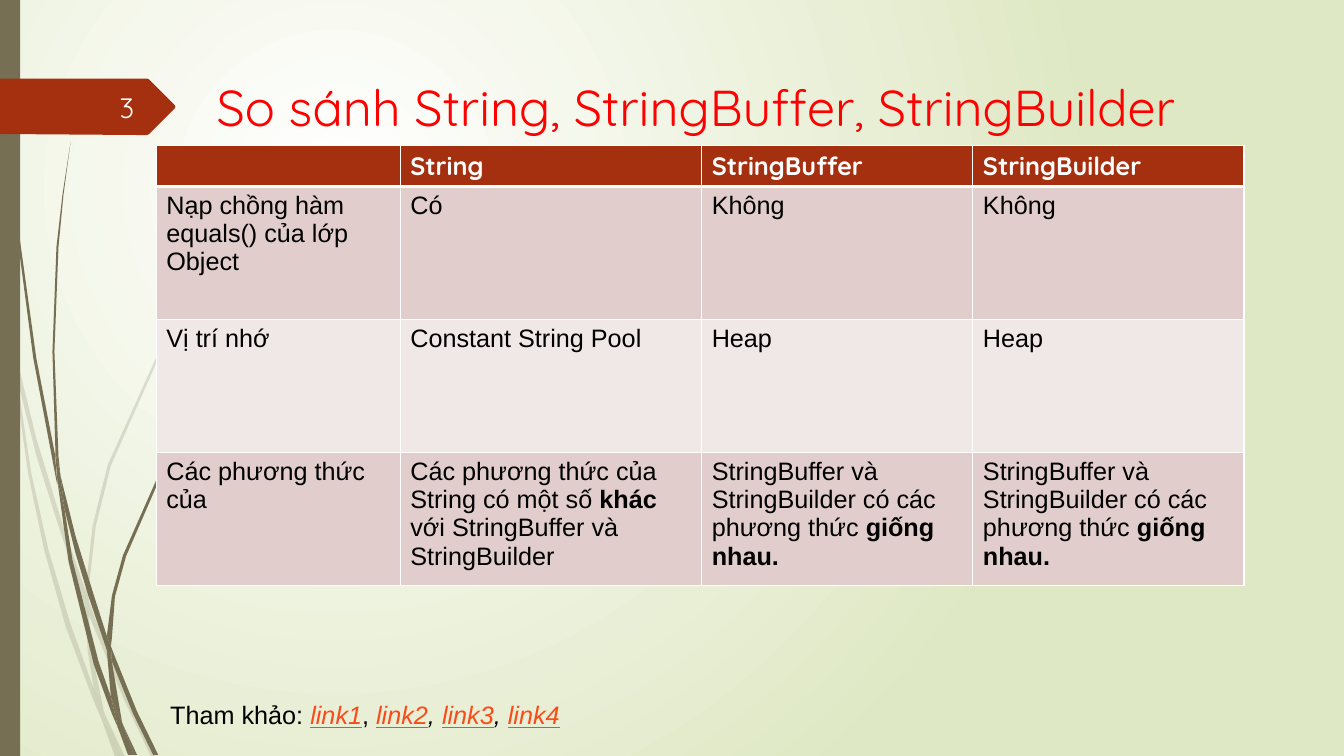
from lxml import etree
from pptx import Presentation
from pptx.dml.color import RGBColor
from pptx.enum.shapes import MSO_SHAPE
from pptx.enum.text import MSO_ANCHOR, PP_ALIGN
from pptx.oxml import parse_xml
from pptx.oxml.ns import nsdecls, qn
from pptx.util import Inches, Pt

RECTANGLE = MSO_SHAPE.RECTANGLE
TOP, MIDDLE = MSO_ANCHOR.TOP, MSO_ANCHOR.MIDDLE
LEFT, RIGHT = PP_ALIGN.LEFT, PP_ALIGN.RIGHT
HEADING, BODY = "Quicksand", "Arial"
COLORS = {
    "white": "FFFFFF", "meadow": "DFE8C4", "grass": "766F54", "rust": "A53010",
    "red": "FF0000", "black": "000000", "number": "FEFFFF", "link": "FB4A18",
    "odd": "E1CDCC", "even": "F0E8E7",
}
FAINT_GRASS = [
    [(.11, 3.5), (.09, 3.22), (0, 2.82), (0, 2.99), (.1, 3.44)],
    [(.58, 5.22), (.84, 5.99), (.85, 5.86), (.62, 5.2), (.36, 4.35), (.14, 3.45),
     (.17, 3.76), (.36, 4.52)],
    [(.92, 6.07), (.88, 5.96), (.88, 6.1), (1.23, 6.94), (1.5, 7.51), (1.55, 7.51), (1.27, 6.92)],
    [(1.19, 7.51), (1.24, 7.51), (1.05, 7.11)],
    [(.93, 6.83), (.7, 6.19), (.48, 5.45), (.31, 4.69), (.17, 3.76), (.11, 3.5), (.28, 4.7),
     (.44, 5.46), (.65, 6.21), (.92, 6.93), (1.01, 7.14), (.99, 7.07)],
    [(.84, 5.99), (.87, 6.46), (.93, 6.83), (.96, 6.92), (1.05, 7.11), (1.03, 7.06),
     (.91, 6.46), (.88, 6.1), (.88, 6.08)],
    [(.88, 5.84), (.95, 5.22), (1.1, 4.62), (1.6, 3.49), (2.29, 2.45), (2.68, 1.98), (2.9, 1.75),
     (3.12, 1.54), (3.12, 1.53), (2.89, 1.75), (2.68, 1.97), (2.28, 2.44), (1.58, 3.48),
     (1.07, 4.61), (.92, 5.21), (.85, 5.84), (.85, 5.86), (.88, 5.96)],
    [(1.01, 7.14), (1.14, 7.51), (1.19, 7.51)],
    [(.88, 6.08), (.88, 6.1), (.88, 5.96), (.85, 5.86), (.84, 5.99)],
    [(.96, 6.92), (.93, 6.83), (.99, 7.07), (1.01, 7.14), (1.19, 7.51), (1.05, 7.11)],
]
SOLID_GRASS = [
    [(.07, 1.1), (.17, 2.33), (.33, 3.55), (.56, 4.77), (.57, 4.81), (.55, 4.57), (.55, 4.53),
     (.36, 3.55), (.19, 2.32), (.08, 1.09), (.05, .48), (.04, 0), (.03, 0), (.04, .48)],
    [(.88, 5.92), (1.06, 6.45), (1.06, 6.33), (1.06, 6.31), (.93, 5.9), (.75, 5.32),
     (.6, 4.72), (.64, 5.05), (.75, 5.49)],
    [(1.13, 6.49), (1.1, 6.41), (1.11, 6.56), (1.32, 7.08), (1.52, 7.49), (1.57, 7.49),
     (1.36, 7.06)],
    [(1.1, 6.91), (.98, 6.57), (.72, 5.56), (.64, 5.05), (.57, 4.77), (.68, 5.57), (.93, 6.59),
     (1.11, 7.08), (1.17, 7.22), (1.16, 7.17)],
    [(.6, 4.72), (.58, 4.53), (.54, 3.49), (.58, 2.45), (.63, 1.93), (.7, 1.41), (.62, 1.93),
     (.56, 2.45), (.52, 3.49), (.55, 4.49)],
    [(1.33, 7.49), (1.36, 7.49), (1.22, 7.19)],
    [(.57, 4.77), (.64, 5.05), (.6, 4.72), (.55, 4.49), (.55, 4.53)],
    [(1.11, 6.33), (1.14, 5.92), (1.25, 5.52), (1.58, 4.76), (2.05, 4.06), (2.31, 3.74),
     (2.45, 3.59), (2.61, 3.44), (2.6, 3.44), (2.45, 3.58), (2.31, 3.73), (2.04, 4.05),
     (1.56, 4.74), (1.22, 5.51), (1.11, 5.91), (1.06, 6.31), (1.1, 6.41)],
    [(1.17, 7.22), (1.27, 7.49), (1.31, 7.49)],
    [(1.06, 6.45), (1.1, 6.91), (1.16, 7.06), (1.22, 7.19), (1.21, 7.16), (1.11, 6.56), (1.09, 6.51)],
    [(1.06, 6.45), (1.09, 6.51), (1.11, 6.56), (1.1, 6.41), (1.06, 6.31), (1.06, 6.33)],
    [(1.16, 7.06), (1.1, 6.91), (1.16, 7.17), (1.17, 7.22), (1.3, 7.49), (1.33, 7.49), (1.22, 7.19)],
]
NUMBER_TAG = [(1.73, 1.08), (1.48, 1.33), (1.46, 1.34), (1.36, 1.34), (0, 1.33), (0, .78),
              (1.36, .78), (1.46, .78), (1.48, .79), (1.73, 1.04), (1.74, 1.06)]
SAME_METHODS = [("StringBuffer và StringBuilder có các phương thức ", False), ("giống nhau.", True)]
ROWS = [
    ["", "String", "StringBuffer", "StringBuilder"],
    ["Nạp chồng hàm equals() của lớp Object", "Có", "Không", "Không"],
    ["Vị trí nhớ", "Constant String Pool", "Heap", "Heap"],
    ["Các phương thức của",
     [("Các phương thức của String có một số ", False), ("khác", True),
      (" với StringBuffer và StringBuilder", False)],
     SAME_METHODS, SAME_METHODS],
]


def rgb(name):
    """Return the named colour."""
    return RGBColor.from_string(COLORS[name])


def paint(shape, color):
    """Give a shape a plain fill without line or shadow."""
    shape.shadow.inherit = False
    shape.fill.solid()
    shape.fill.fore_color.rgb = rgb(color)
    shape.line.fill.background()


def set_font(font, name, size, color):
    """Set the face, size and colour of a font."""
    font.name, font.size, font.color.rgb = name, Pt(size), rgb(color)


def add_text(page, box, text, name, size, color, align=LEFT, anchor=TOP):
    """Add a one-paragraph text box and return its paragraph."""
    frame = page.shapes.add_textbox(*map(Inches, box)).text_frame
    frame.word_wrap, frame.vertical_anchor = True, anchor
    para = frame.paragraphs[0]
    para.text, para.alignment = text, align
    set_font(para.font, name, size, color)
    return para


def add_background(page):
    """Fill the page with a circular gradient."""
    fill = page.background.fill
    fill.gradient()
    for stop, color in zip(fill.gradient_stops, ("white", "meadow")):
        stop.color.rgb = rgb(color)
    gradient = page.element.find(".//" + qn("a:gradFill"))
    gradient.replace(gradient.find(qn("a:lin")), parse_xml(
        f'<a:path {nsdecls("a")} path="circle">'
        '<a:fillToRect l="50000" t="50000" r="100000" b="100000"/></a:path>'))


def add_outline(shapes, box, outline, color):
    """Add a filled outline placed from the corner of the box."""
    points = [(Inches(box[0] + x), Inches(box[1] + y)) for x, y in outline]
    builder = shapes.build_freeform(*points[0], scale=1.0)
    builder.add_line_segments(points[1:], close=True)
    shape = builder.convert_to_shape()
    paint(shape, color)
    return shape


def add_grass(page, box, outlines, alpha=100):
    """Draw a group of grass blades with the given opacity."""
    group = page.shapes.add_group_shape()
    for outline in outlines:
        blade = add_outline(group.shapes, box, outline, "grass")
        if alpha < 100:
            color = blade.element.spPr.find(".//" + qn("a:srgbClr"))
            etree.SubElement(color, qn("a:alpha")).set("val", str(alpha * 1000))


def add_side(page, box):
    """Draw the grass, the side bar and the page number tag."""
    left, top, _, height = box
    add_grass(page, box, FAINT_GRASS, 20)
    add_grass(page, box, SOLID_GRASS)
    bar = page.shapes.add_shape(RECTANGLE, *map(Inches, (left, top, .2, height)))
    paint(bar, "grass")
    add_outline(page.shapes, box, NUMBER_TAG, "rust")
    add_text(page, (left + .58, top + .86, .85, .4), "3", HEADING, 20, "number", RIGHT, MIDDLE)


def add_borders(cell, top, bottom):
    """Give a cell white borders, with top and bottom widths in points."""
    for side, width in (("L", 1), ("R", 1), ("T", top), ("B", bottom)):
        cell._tc.get_or_add_tcPr().append(parse_xml(
            f'<a:ln{side} {nsdecls("a")} w="{Pt(width)}"><a:solidFill>'
            f'<a:srgbClr val="{COLORS["white"]}"/></a:solidFill></a:ln{side}>'))


def add_comparison(page, box):
    """Add the comparison table."""
    table = page.shapes.add_table(len(ROWS), len(ROWS[0]), *map(Inches, box)).table
    for column, width in zip(table.columns, (2.42, 2.99, 2.69, 2.69)):
        column.width = Inches(width)
    for index, (row, texts) in enumerate(zip(table.rows, ROWS)):
        header = index == 0
        row.height = Inches(.41 if header else 1.32)
        for cell, text in zip(row.cells, texts):
            add_borders(cell, 3 if index == 1 else 1, 3 if header else 1)
            cell.fill.solid()
            cell.fill.fore_color.rgb = rgb("rust" if header else "odd" if index % 2 else "even")
            para = cell.text_frame.paragraphs[0]
            set_font(para.font, HEADING if header else BODY, 18, "white" if header else "black")
            for words, bold in [(text, header)] if isinstance(text, str) else text:
                if words:
                    span = para.add_run()
                    span.text, span.font.bold = words, bold


def add_references(page, box):
    """Add the line of references."""
    para = add_text(page, box, "Tham khảo: ", BODY, 18, "black")
    for number in range(1, 5):
        if number > 1:
            comma = para.add_run()
            comma.text, comma.font.italic = ", ", number > 2
        link = para.add_run()
        link.text = f"link{number}"
        link.font.italic = link.font.underline = True
        link.font.color.rgb = rgb("link")


deck = Presentation()
deck.slide_width, deck.slide_height = Inches(13.33), Inches(7.5)
page = deck.slides.add_slide(deck.slide_layouts[6])
add_background(page)
add_side(page, (0, 0, 1.74, 7.5))
add_text(page, (2.05, .71, 9.75, .79), "So sánh String, StringBuffer, StringBuilder", HEADING, 36, "red")
add_comparison(page, (1.55, 1.44, 10.79, 4.37))
add_references(page, (1.59, 6.89, 4.1, .4))
deck.save("out.pptx")
